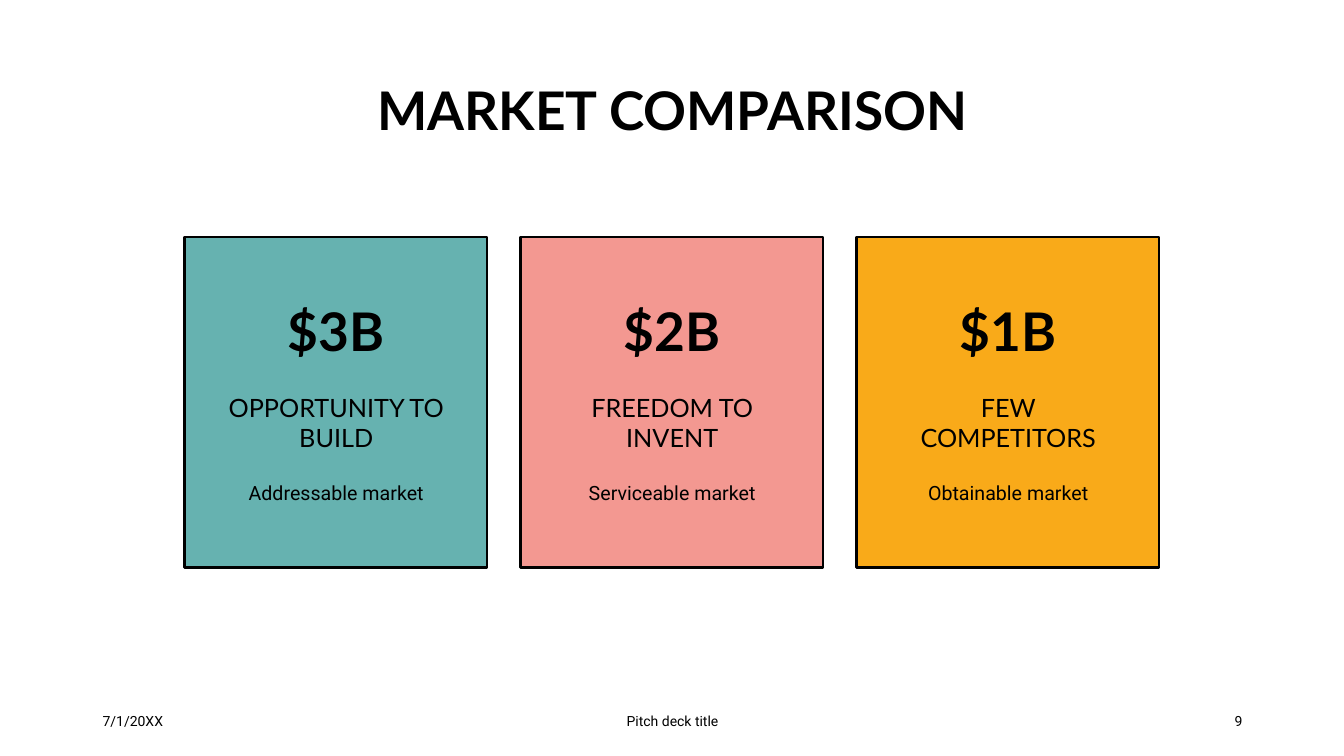
import pptx
import pptx.util
import pptx.dml.color
import pptx.enum.text
import pptx.enum.shapes

WIDE, HIGH = 13.33, 7.5
TITLE = "MARKET COMPARISON"
CARDS = [
    ("$3B", ["OPPORTUNITY TO BUILD"], "Addressable market", "66B2B0"),
    ("$2B", ["FREEDOM TO INVENT"], "Serviceable market", "F39891"),
    ("$1B", ["FEW", "COMPETITORS"], "Obtainable market", "F9AA19"),
]
FOOT = [
    (0.92, 3, "7/1/20XX", "LEFT"),
    (4.42, 4.5, "Pitch deck title", "CENTER"),
    (9.42, 3, "9", "RIGHT"),
]
LEFT, TOP, SIDE, TALL = 1.83, 2.35, 3, 3.28
STEP = WIDE / 4
INSET = 0.255
INK = "000000"

inch = pptx.util.Inches
point = pptx.util.Pt


def color(code):
    return pptx.dml.color.RGBColor.from_string(code)


def write(shape, lines, size, font="Lato", bold=False, align="CENTER",
          anchor="TOP", space=1.0, inset=(0.1, 0.05, 0.1, 0.05)):
    frame = shape.text_frame
    frame.word_wrap = True
    frame.vertical_anchor = getattr(pptx.enum.text.MSO_ANCHOR, anchor)
    (frame.margin_left, frame.margin_top,
     frame.margin_right, frame.margin_bottom) = map(inch, inset)
    frame.text = "\n".join(lines)
    for para in frame.paragraphs:
        para.alignment = getattr(pptx.enum.text.PP_ALIGN, align)
        para.line_spacing = space
        for run in para.runs:
            run.font.name = font
            run.font.size = point(size)
            run.font.bold = bold
            run.font.color.rgb = color(INK)


deck = pptx.Presentation()
deck.slide_width, deck.slide_height = inch(WIDE), inch(HIGH)
slide = deck.slides.add_slide(deck.slide_layouts[6])


def label(box, lines, size, **style):
    write(slide.shapes.add_textbox(*map(inch, box)), lines, size, **style)


label((0.92, 0.4, 11.5, 1.45), [TITLE], 38, bold=True, anchor="MIDDLE", space=0.9)

for col, (value, claim, market, fill) in enumerate(CARDS):
    left = LEFT + col * STEP
    card = slide.shapes.add_shape(
        pptx.enum.shapes.MSO_SHAPE.RECTANGLE,
        *map(inch, (left, TOP, SIDE, TALL)))
    card.shadow.inherit = False
    card.fill.solid()
    card.fill.fore_color.rgb = color(fill)
    card.line.color.rgb = color(INK)
    card.line.width = point(1.75)
    write(card, [value], 38, bold=True, space=0.9, inset=(0, 0.68, 0, 0))
    label((left + INSET, 3.84, 2.5, 0.8), claim, 18)
    label((left + INSET, 4.68, 2.5, 0.7), [market], 14, font="Roboto", space=point(20))

for left, wide, text, align in FOOT:
    label((left, 6.95, wide, 0.4), [text], 10, font="Roboto", align=align, anchor="MIDDLE")

deck.save("out.pptx")
